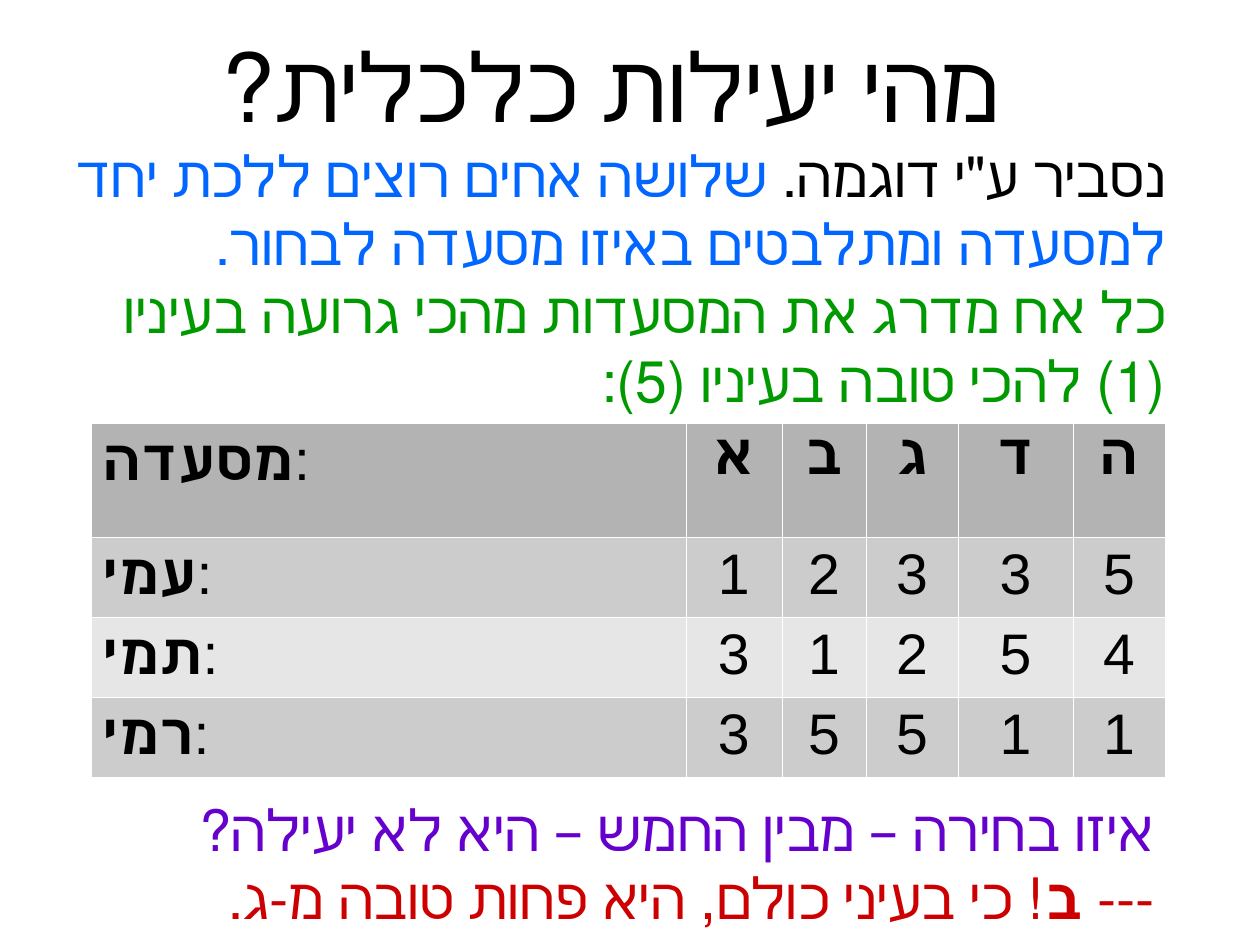
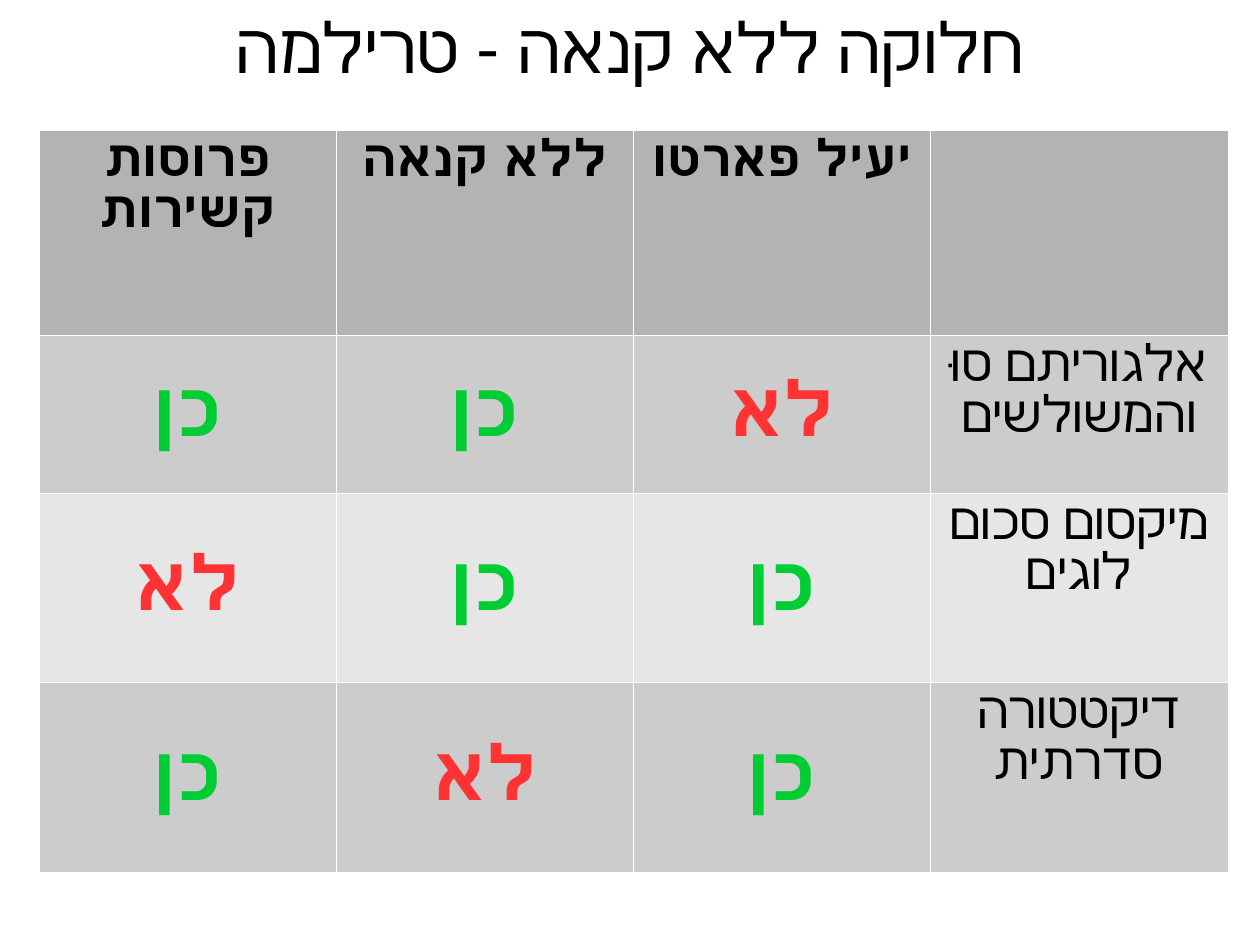
from lxml import etree
from pptx import Presentation
from pptx.dml.color import RGBColor
from pptx.enum.lang import MSO_LANGUAGE_ID as LANGUAGE
from pptx.enum.text import MSO_ANCHOR as ANCHOR, PP_ALIGN as ALIGN
from pptx.oxml.ns import qn
from pptx.util import Cm, Inches, Pt

CELL = Inches(0.1)  # side of one layout grid square
WIDTH, HEIGHT = Cm(28), Cm(21)
COLUMNS = WIDTH / CELL
COLOURS = {
    "ink": "000000", "paper": "FFFFFF", "story": "0066FF", "ranking": "009900",
    "question": "6600CC", "answer": "CC0000", "yes": "00CC33", "no": "FF3333",
    "head": "B3B3B3", "odd": "CCCCCC", "even": "E6E6E6",
}
LETTERING = {"name": "Arial", "language_id": LANGUAGE.HEBREW}
BODY = {"size": 36, "pitch": 1.2, "align": ALIGN.RIGHT}


def write(frame, paragraphs, size, pitch=None, align=ALIGN.CENTER, rtl=True):
    """Fill a frame; each run is (text, colour name, bold), pitch is line height per size."""
    frame.word_wrap = True
    for number, runs in enumerate(paragraphs):
        line = frame.add_paragraph() if number else frame.paragraphs[0]
        line.alignment = align
        if pitch:
            line.line_spacing = Pt(round(size * pitch))
        if rtl:
            line._p.get_or_add_pPr().set("rtl", "1")
        for text, colour, bold in runs:
            run = line.add_run()
            run.text = text
            for name, value in {**LETTERING, "size": Pt(size), "bold": bold}.items():
                setattr(run.font, name, value)
            run.font.color.rgb = RGBColor.from_string(COLOURS[colour])


def add_grid(slide, left, top, columns, rows):
    """Add a banded grey table with thin white rules."""
    table = slide.shapes.add_table(
        len(rows), len(columns), int(left * CELL), int(top * CELL),
        int(sum(columns) * CELL), int(sum(rows) * CELL)).table
    for column, width in zip(table.columns, columns):
        column.width = int(width * CELL)
    for number, (row, height) in enumerate(zip(table.rows, rows)):
        row.height = int(height * CELL)
        band = "head" if number == 0 else "odd" if number % 2 else "even"
        for cell in row.cells:
            cell.fill.solid()
            cell.fill.fore_color.rgb = RGBColor.from_string(COLOURS[band])
            for place, side in enumerate(("lnL", "lnR", "lnT", "lnB")):
                rule = etree.Element(qn(f"a:{side}"), w=str(Pt(0.06)))
                paint = etree.SubElement(rule, qn("a:solidFill"))
                etree.SubElement(paint, qn("a:srgbClr"), val=COLOURS["paper"])
                cell._tc.get_or_add_tcPr().insert(place, rule)
    return table


deck = Presentation()
deck.slide_width = WIDTH
deck.slide_height = HEIGHT
blank = deck.slide_layouts[6]

# Titles
titles = [
    ("מהי יעילות כלכלית?", 60, (5, 2.5, 0.9 * COLUMNS, 9.7), 2.4),
    ("חלוקה ללא קנאה - טרילמה", 44, (0, -1, COLUMNS, 10), 0),
]
slides = []
for text, size, place, indent in titles:
    slide = deck.slides.add_slide(blank)
    slides.append(slide)
    title = slide.shapes.add_textbox(*(int(n * CELL) for n in place)).text_frame
    for side in ("left", "right", "top", "bottom"):
        setattr(title, f"margin_{side}", 0)
    title.vertical_anchor = ANCHOR.MIDDLE
    write(title, [[(text, "ink", False)]], size, 1.2)
    title.paragraphs[0]._p.get_or_add_pPr().set("marL", str(int(indent * CELL)))
efficiency, trilemma = slides

# Efficiency: the ratings
ratings = [
    ("מסעדה", "אבגדה"),
    ("עמי", "12335"),
    ("תמי", "31254"),
    ("רמי", "35511"),
]
table = add_grid(efficiency, 8, 37, [52, 8.4, 7.4, 8, 10.1, 8], [10, 7, 7, 7])
for row, (name, marks) in enumerate(ratings):
    write(table.cell(row, 0).text_frame, [[(name, "ink", True), (":", "ink", False)]],
          36, align=ALIGN.LEFT, rtl=False)
    for column, mark in enumerate(marks, 1):
        heading = row == 0
        write(table.cell(row, column).text_frame, [[(mark, "ink", heading)]],
              36, pitch=1 if heading else None, rtl=False)

# Efficiency: the story above the ratings and the question below
passages = [
    ((5, 11.8, 98, 23.4), [
        [("נסביר ע\"י דוגמה. ", "ink", False),
         ("שלושה אחים רוצים ללכת יחד למסעדה ומתלבטים באיזו מסעדה לבחור. ", "story", False)],
        [("כל אח מדרג את המסעדות מהכי גרועה בעיניו (1) להכי טובה בעיניו (5):",
          "ranking", False)],
    ]),
    ((6, 69, 96, 12.2), [
        [("איזו בחירה – מבין החמש – היא לא יעילה?", "question", False)],
        [("--- ", "answer", False), ("ב", "answer", True),
         ("! כי בעיני כולם, היא פחות טובה מ-ג.", "answer", False)],
    ]),
]
for place, paragraphs in passages:
    box = efficiency.shapes.add_textbox(*(int(n * CELL) for n in place))
    write(box.text_frame, paragraphs, **BODY)

# Trilemma: every method lacks one property
YES, NO = "כן", "לא"
properties = ["פרוסות קשירות", "ללא קנאה", "יעיל פארטו"]
methods = [
    ("אלגוריתם סוּ והמשולשים", [YES, YES, NO]),
    ("מיקסום סכום לוגים", [NO, YES, YES]),
    ("דיקטטורה סדרתית", [YES, NO, YES]),
]
table = add_grid(trilemma, 3.4, 11.4, [26] * 4, [17.9, 13.8, 16.6, 16.6])
for column, name in enumerate(properties):
    write(table.cell(0, column).text_frame, [[(name, "ink", True)]], 32, 1)
for row, (method, verdicts) in enumerate(methods, 1):
    for column, verdict in enumerate(verdicts):
        cell = table.cell(row, column)
        cell.vertical_anchor = ANCHOR.MIDDLE
        colour = "yes" if verdict == YES else "no"
        write(cell.text_frame, [[(verdict, colour, True)]], 48, 1)
    write(table.cell(row, len(properties)).text_frame, [[(method, "ink", False)]], 32, 1)

deck.save("out.pptx")
